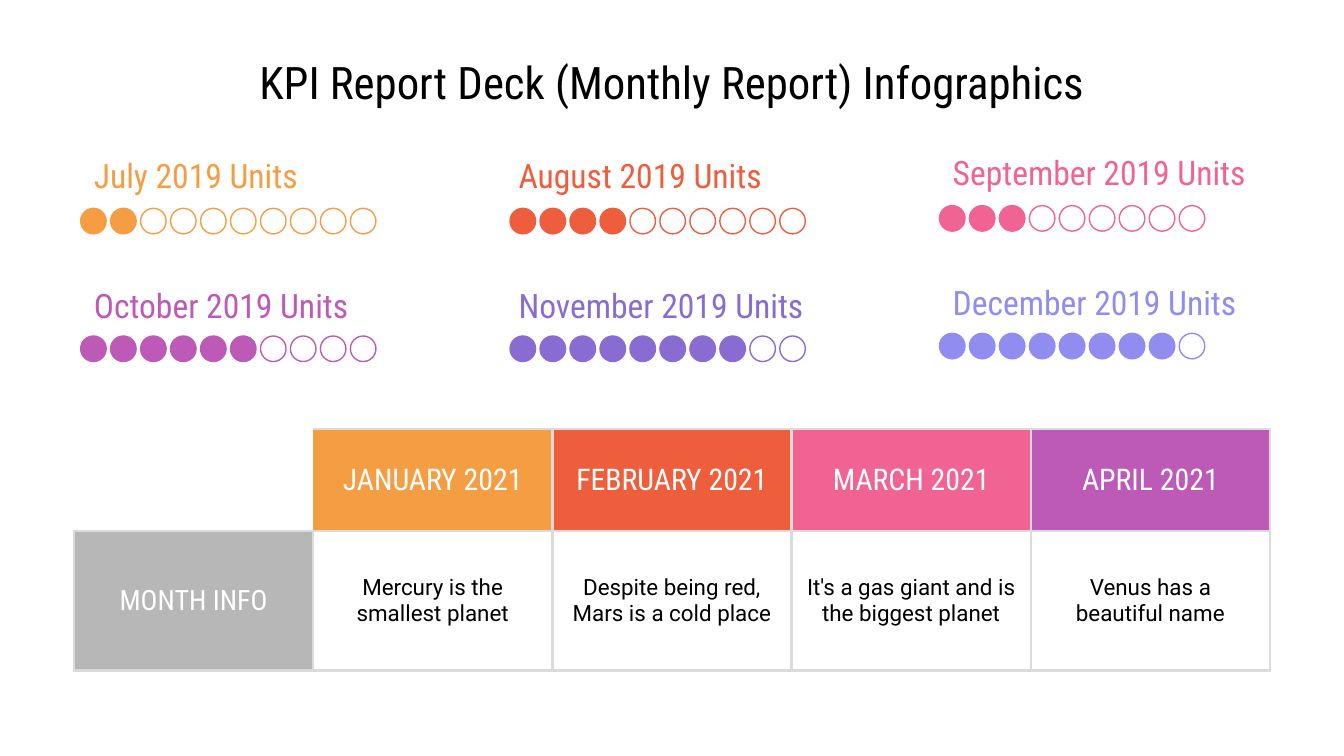
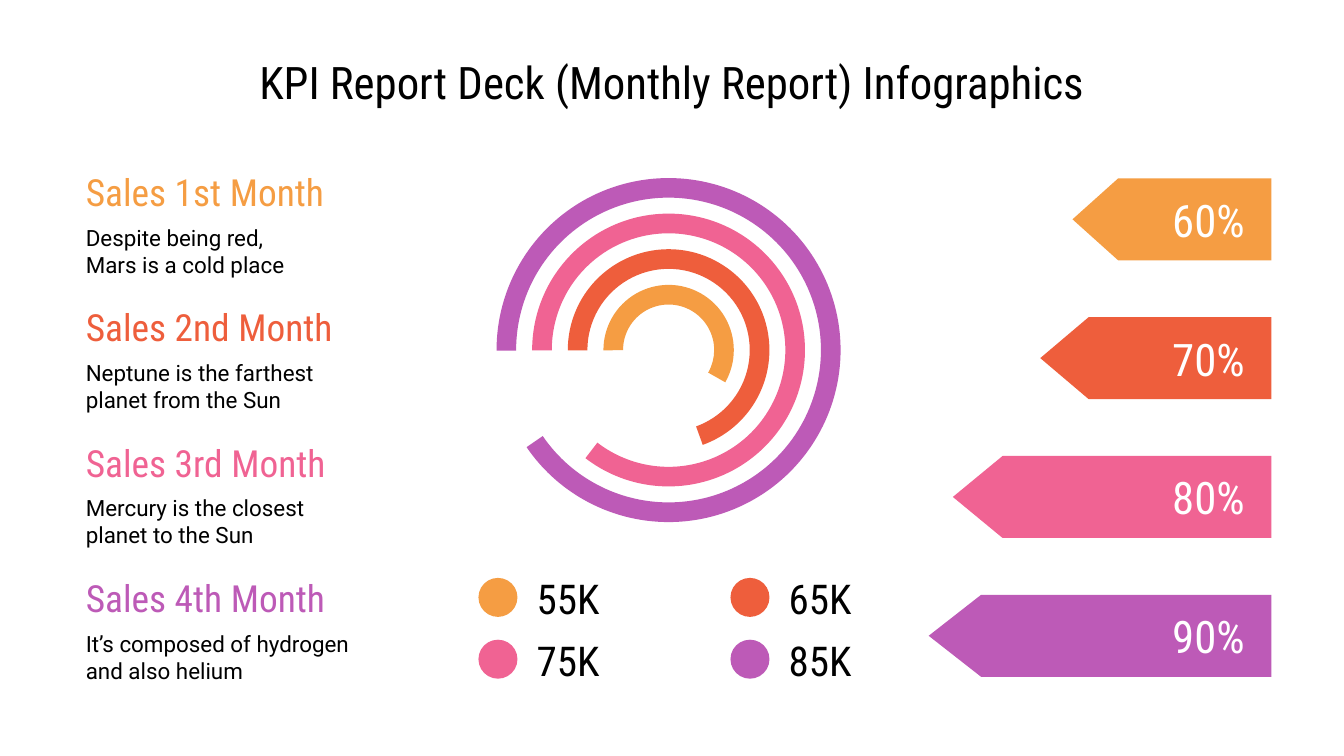
from lxml import etree
from pptx import Presentation
from pptx.dml.color import RGBColor
from pptx.enum.shapes import MSO_SHAPE
from pptx.enum.text import MSO_ANCHOR, PP_ALIGN
from pptx.oxml.ns import qn
from pptx.util import Inches, Pt

ELLIPSE, BLOCK_ARC = MSO_SHAPE.OVAL, MSO_SHAPE.BLOCK_ARC
MIDDLE = MSO_ANCHOR.MIDDLE
LEFT, CENTER, RIGHT = PP_ALIGN.LEFT, PP_ALIGN.CENTER, PP_ALIGN.RIGHT

ORANGE = RGBColor(0xF5, 0x9D, 0x43)
RED = RGBColor(0xEE, 0x5E, 0x3C)
PINK = RGBColor(0xF0, 0x63, 0x93)
PURPLE = RGBColor(0xBD, 0x5A, 0xB7)
VIOLET = RGBColor(0x89, 0x6C, 0xD1)
LAVENDER = RGBColor(0x91, 0x8D, 0xF0)
GRAY = RGBColor(0xB7, 0xB7, 0xB7)
BORDER_GRAY = RGBColor(0xDB, 0xDB, 0xDB)
WHITE = RGBColor(0xFF, 0xFF, 0xFF)
BLACK = RGBColor(0x00, 0x00, 0x00)
SERIES_COLORS = [ORANGE, RED, PINK, PURPLE]

HEADING_FONT, BODY_FONT = "Roboto Condensed", "Roboto"
TITLE = "KPI Report Deck (Monthly Report) Infographics"

# The slide is a grid of square cells, 100 across; all lengths count cells.
SLIDE_WIDTH, SLIDE_HEIGHT = Inches(10), Inches(5.625)
CELL = SLIDE_WIDTH / 100
MARGIN, CONTENT_WIDTH = 5.5, 89
RIGHT_EDGE = 94.6


def cells(*counts):
    return [round(count * CELL) for count in counts]


def write_text(frame, text, size=12, font=BODY_FONT, color=BLACK, align=LEFT):
    """Fill a text frame, one paragraph for each line of the text."""
    for index, line in enumerate(text.split("\n")):
        paragraph = frame.add_paragraph() if index else frame.paragraphs[0]
        paragraph.alignment = align
        run = paragraph.add_run()
        run.text = line
        run.font.size = Pt(size)
        run.font.name = font
        run.font.color.rgb = color


def add_text(slide, box, text, inset=1, **text_format):
    frame = slide.shapes.add_textbox(*cells(*box)).text_frame
    frame.word_wrap = True
    frame.vertical_anchor = MIDDLE
    frame.margin_left, frame.margin_right = cells(1, 1)
    frame.margin_top, frame.margin_bottom = cells(inset, inset)
    write_text(frame, text, **text_format)


def paint(shape, fill, line=None):
    shape.shadow.inherit = False
    shape.fill.solid()
    shape.fill.fore_color.rgb = fill
    if line is None:
        shape.line.fill.background()
    else:
        shape.line.color.rgb = line
        shape.line.width = Pt(0.75)


def add_circle(shapes, left, top, diameter, fill, line=None):
    box = cells(left, top, diameter, diameter)
    paint(shapes.add_shape(ELLIPSE, *box), fill, line)


def add_titled_slide(presentation):
    slide = presentation.slides.add_slide(presentation.slide_layouts[6])
    add_text(slide, (MARGIN, 5, CONTENT_WIDTH, 2.1), TITLE,
             size=24, font=HEADING_FONT, align=CENTER)
    return slide


def add_dot_row(slide, left, top, filled, total, color):
    group = slide.shapes.add_group_shape()
    for index in range(total):
        add_circle(group.shapes, left + 2.23 * index, top, 1.9,
                   color if index < filled else WHITE, color)


def add_unit_counters(slide):
    # Label left, label width, dots left, rise, number of dots
    columns = [(6, 23.5, 6, 0, 10), (37.6, 24.1, 37.95, 0, 10),
               (69.9, 24.1, 69.9, 0.2, 9)]
    # Label top, dots top, then month, filled dots and colour for each column
    rows = [
        (11.8, 15.5, [("July", 2, ORANGE), ("August", 4, RED),
                      ("September", 3, PINK)]),
        (21.5, 25, [("October", 6, PURPLE), ("November", 8, VIOLET),
                    ("December", 8, LAVENDER)]),
    ]
    for label_top, dots_top, months in rows:
        for column, (month, filled, color) in zip(columns, months):
            label_left, label_width, dots_left, rise, total = column
            add_text(slide, (label_left, label_top - rise, label_width, 2.4),
                     f"{month} 2019 Units", size=18, font=HEADING_FONT,
                     color=color)
            add_dot_row(slide, dots_left, dots_top - rise, filled, total, color)


def set_borders(cell, sides):
    """Draw the borders named in sides (from L, R, T, B) and clear the rest."""
    properties = cell._tc.get_or_add_tcPr()
    for side in "LRTB":
        line = etree.SubElement(properties, qn(f"a:ln{side}"), w=str(Pt(1.5)))
        if side in sides:
            fill = etree.SubElement(line, qn("a:solidFill"))
            etree.SubElement(fill, qn("a:srgbClr"), val=str(BORDER_GRAY))
        else:
            etree.SubElement(line, qn("a:noFill"))


def format_cell(cell, text, fill, sides, **text_format):
    set_borders(cell, sides)
    if fill is None:
        cell.fill.background()
    else:
        cell.fill.solid()
        cell.fill.fore_color.rgb = fill
    cell.vertical_anchor = MIDDLE
    cell.margin_left, cell.margin_right = cells(1, 1)
    cell.margin_top, cell.margin_bottom = cells(1, 1)
    if text:
        write_text(cell.text_frame, text, align=CENTER, **text_format)


def add_month_table(slide):
    months = ["JANUARY 2021", "FEBRUARY 2021", "MARCH 2021", "APRIL 2021"]
    facts = ["Mercury is the smallest planet",
             "Despite being red, Mars is a cold place",
             "It's a gas giant and is the biggest planet",
             "Venus has a beautiful name"]
    row_heights = cells(7.6, 10.4)
    box = cells(MARGIN, 31.9, CONTENT_WIDTH, 18)
    table = slide.shapes.add_table(2, 5, *box).table
    table.first_row = table.horz_banding = False
    for row, height in zip(table.rows, row_heights):
        row.height = height

    heading = {"font": HEADING_FONT, "color": WHITE}
    format_cell(table.cell(0, 0), "", None, "B")
    format_cell(table.cell(1, 0), "MONTH INFO", GRAY, "LRTB", size=15, **heading)
    entries = zip(months, facts, SERIES_COLORS)
    for column, (month, fact, color) in enumerate(entries, start=1):
        sides = "RTB" if column == 1 else "LRTB"
        format_cell(table.cell(0, column), month, color, sides, size=16, **heading)
        format_cell(table.cell(1, column), fact, None, "LRTB")


def add_sales_notes(slide):
    notes = [("1st", "Despite being red,\nMars is a cold place"),
             ("2nd", "Neptune is the farthest planet from the Sun"),
             ("3rd", "Mercury is the closest planet to the Sun"),
             ("4th", "It’s composed of hydrogen and also helium")]
    for index, ((ordinal, note), color) in enumerate(zip(notes, SERIES_COLORS)):
        top = 12.7 + 10.07 * index
        add_text(slide, (5.4, top, 22.3, 3.1), f"Sales {ordinal} Month",
                 size=20, font=HEADING_FONT, color=color)
        add_text(slide, (5.4, top + 3.9, 22.8, 4.1), note)


def add_rings(slide):
    """Concentric arcs that run clockwise from the left to an end angle."""
    center_x, center_y, thickness = 49.75, 26.05, 1.46
    units_per_degree = 0.6
    end_angles = [29.66, 70.2, 127.54, 145.63]
    for index, (end_angle, color) in enumerate(zip(end_angles, SERIES_COLORS)):
        diameter = 9.7 + 5.3 * index
        box = cells(center_x - diameter / 2, center_y - diameter / 2,
                    diameter, diameter)
        ring = slide.shapes.add_shape(BLOCK_ARC, *box)
        ring.adjustments[0] = 179.8 * units_per_degree
        ring.adjustments[1] = end_angle * units_per_degree
        ring.adjustments[2] = thickness / diameter
        paint(ring, color)


def add_legend(slide):
    values = ["55K", "65K", "75K", "85K"]
    for index, (value, color) in enumerate(zip(values, SERIES_COLORS)):
        row, column = divmod(index, 2)
        left, top = 35.6 + 18.75 * column, 43 + 4.6 * row
        add_circle(slide.shapes, left, top, 2.9, color)
        add_text(slide, (left + 3.35, top - 0.6, 7.6, 4.2), value,
                 inset=0.5, size=22, font=HEADING_FONT)


def add_percent_arrows(slide):
    # Percentage, tip and shoulder of each arrow
    arrows = [("60%", 79.8, 83.2), ("70%", 77.4, 81),
              ("80%", 70.9, 74.6), ("90%", 69.1, 73)]
    height = 6.1
    for index, (arrow, color) in enumerate(zip(arrows, SERIES_COLORS)):
        percent, tip, shoulder = arrow
        top = 13.27 + 10.33 * index
        middle, bottom = top + height / 2, top + height
        outline = [(shoulder, top), (RIGHT_EDGE, top),
                   (RIGHT_EDGE, bottom), (shoulder, bottom)]
        builder = slide.shapes.build_freeform(*cells(tip, middle))
        builder.add_line_segments([cells(*point) for point in outline])
        paint(builder.convert_to_shape(), color)
        add_text(slide, (84.5, top + 0.85, 9.1, 4.4), percent, size=24,
                 font=HEADING_FONT, color=WHITE, align=RIGHT)


def main():
    presentation = Presentation()
    presentation.slide_width = SLIDE_WIDTH
    presentation.slide_height = SLIDE_HEIGHT

    units_slide = add_titled_slide(presentation)
    add_month_table(units_slide)
    add_unit_counters(units_slide)

    sales_slide = add_titled_slide(presentation)
    add_sales_notes(sales_slide)
    add_rings(sales_slide)
    add_legend(sales_slide)
    add_percent_arrows(sales_slide)

    presentation.save("out.pptx")


if __name__ == "__main__":
    main()
